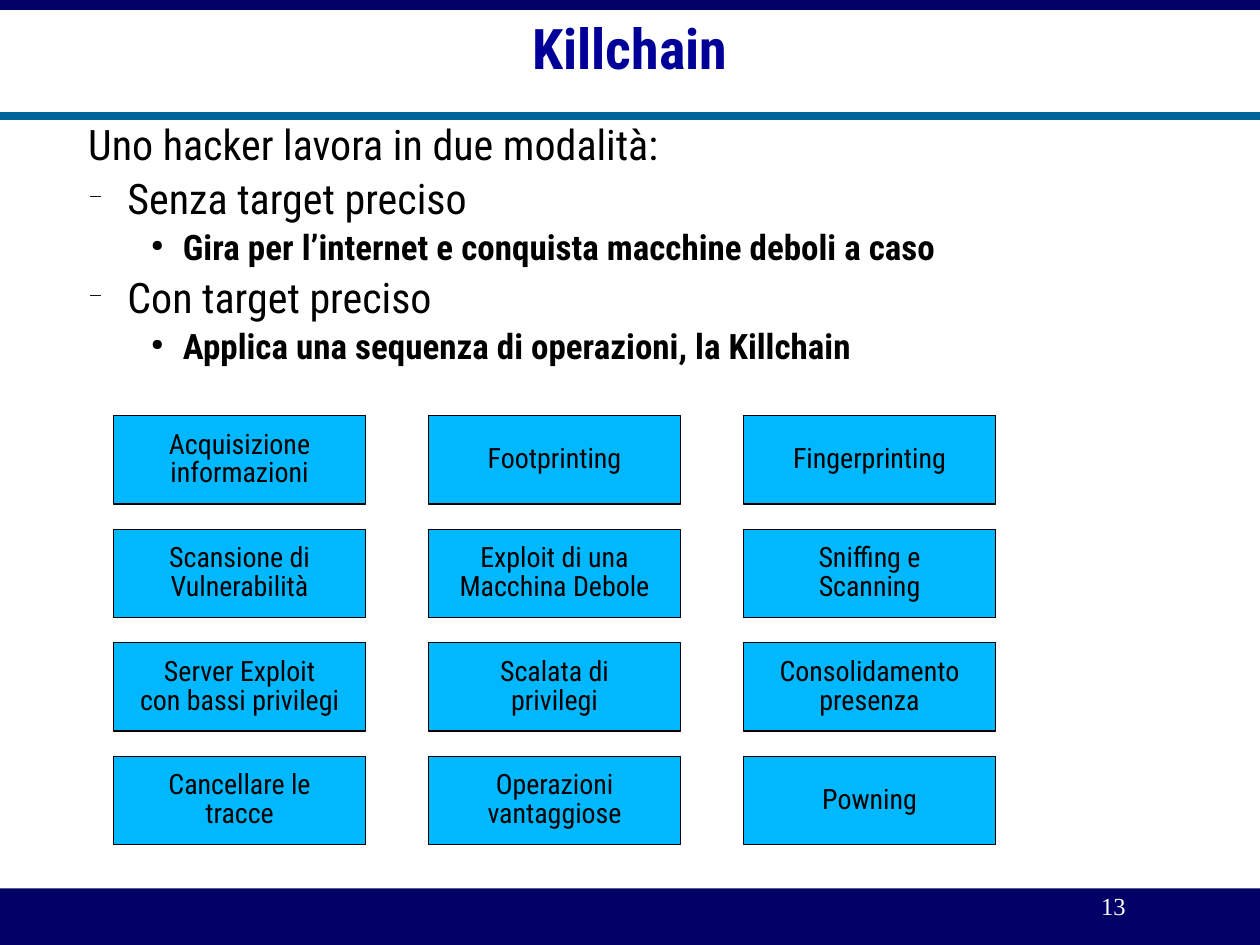
from lxml import etree
from pptx import Presentation
from pptx import util as u
from pptx.dml.color import RGBColor
from pptx.enum import shapes, text
from pptx.oxml import ns

NAVY = RGBColor(0x00, 0x00, 0x66)
TITLE_BLUE = RGBColor(0x00, 0x00, 0x99)
TEAL = RGBColor(0x00, 0x66, 0x99)
SKY = RGBColor(0x00, 0xB8, 0xFF)
BLACK = RGBColor(0x00, 0x00, 0x00)
WHITE = RGBColor(0xFF, 0xFF, 0xFF)

WIDTH, HEIGHT = 25.4, 19.05

# Paragraph formats of the body; indents in cm
INTRO = dict(level=4, left=1.27, before=4.5, size=24)
ITEM = dict(level=1, left=2.06, hanging=0.79, before=6, size=24, bullet="−")
DETAIL = dict(level=2, left=3.18, hanging=0.64, before=5, size=20, bold=True,
              bullet="●")

BODY = [
    ("Uno hacker lavora in due modalità:", INTRO),
    ("Senza target preciso", ITEM),
    ("Gira per l’internet e conquista macchine deboli a caso", DETAIL),
    ("Con target preciso", ITEM),
    ("Applica una sequenza di operazioni, la Killchain", DETAIL),
]

STEPS = [
    ["Acquisizione\ninformazioni", "Footprinting", "Fingerprinting"],
    ["Scansione di\nVulnerabilità", "Exploit di una\nMacchina Debole",
     "Sniffing e\nScanning"],
    ["Server Exploit\ncon bassi privilegi", "Scalata di\nprivilegi",
     "Consolidamento\npresenza"],
    ["Cancellare le\ntracce", "Operazioni\nvantaggiose", "Powning"],
]


def write(frame, content, *, size=16, font="Roboto Condensed", color=BLACK,
          bold=False, align=text.PP_ALIGN.LEFT, level=0, left=0, hanging=0,
          before=0, bullet=None):
    """Add each line of content to the frame as a formatted paragraph."""
    for line in content.split("\n"):
        paragraph = frame.paragraphs[-1]
        if paragraph.runs:
            paragraph = frame.add_paragraph()
        paragraph.alignment = align
        paragraph.level = level
        paragraph.line_spacing = 0.86
        paragraph.space_before = u.Pt(before)
        run = paragraph.add_run()
        run.text = line
        run.font.name = font
        run.font.size = u.Pt(size)
        run.font.bold = bold
        run.font.color.rgb = color
        properties = paragraph._p.get_or_add_pPr()
        properties.set("marL", str(u.Cm(left)))
        properties.set("indent", str(-u.Cm(hanging)))
        if bullet:
            scale = etree.SubElement(properties, ns.qn("a:buSzPct"))
            scale.set("val", "45000")
            mark = etree.SubElement(properties, ns.qn("a:buChar"))
            mark.set("char", bullet)


class SlideBuilder:
    def __init__(self, slide):
        self.slide = slide

    def rectangle(self, left, top, width, height, fill, outline=None):
        shape = self.slide.shapes.add_shape(
            shapes.MSO_SHAPE.RECTANGLE,
            u.Cm(left), u.Cm(top), u.Cm(width), u.Cm(height))
        shape.shadow.inherit = False
        shape.fill.solid()
        shape.fill.fore_color.rgb = fill
        if outline is None:
            shape.line.fill.background()
        else:
            shape.line.color.rgb = outline
            shape.line.width = u.Pt(0)
        return shape

    def rule(self, top, color, weight):
        line = self.slide.shapes.add_connector(
            shapes.MSO_CONNECTOR.STRAIGHT,
            0, u.Cm(top), u.Cm(WIDTH), u.Cm(top))
        line.line.color.rgb = color
        line.line.width = u.Pt(weight)
        etree.SubElement(line._element.spPr, ns.qn("a:effectLst"))

    def text_box(self, left, top, width, height, margins=(0, 0),
                 anchor=text.MSO_ANCHOR.TOP):
        box = self.slide.shapes.add_textbox(
            u.Cm(left), u.Cm(top), u.Cm(width), u.Cm(height))
        return self.prepare(box.text_frame, margins, anchor, True)

    def step(self, left, top, width, height, label):
        shape = self.rectangle(left, top, width, height, SKY, BLACK)
        frame = self.prepare(shape.text_frame, (0, 0),
                             text.MSO_ANCHOR.MIDDLE, False)
        write(frame, label, align=text.PP_ALIGN.CENTER)

    def prepare(self, frame, margins, anchor, wrap):
        frame.margin_left = frame.margin_right = u.Cm(margins[0])
        frame.margin_top = frame.margin_bottom = u.Cm(margins[1])
        frame.vertical_anchor = anchor
        frame.word_wrap = wrap
        return frame


def main():
    presentation = Presentation()
    presentation.slide_width = u.Cm(WIDTH)
    presentation.slide_height = u.Cm(HEIGHT)
    builder = SlideBuilder(
        presentation.slides.add_slide(presentation.slide_layouts[6]))

    # Frame: footer with page number, top band and rule
    builder.rectangle(0, 17.91, WIDTH, 1.14, NAVY)
    number = builder.text_box(19.81, 17.91, 5.28, 0.84, margins=(0.25, 0.13))
    # The number sits left of the box edge, over the footer
    number.margin_right = u.Cm(2.4)
    write(number, "13", size=14, font="Times New Roman", color=WHITE,
          align=text.PP_ALIGN.RIGHT)
    builder.rectangle(0, 0, WIDTH, 0.2, NAVY)
    builder.rule(2.33, TEAL, 4.5)

    # Title
    title = builder.text_box(0.51, 0, 24.38, 2.1,
                             anchor=text.MSO_ANCHOR.MIDDLE)
    write(title, "Killchain", size=32, color=TITLE_BLUE, bold=True,
          align=text.PP_ALIGN.CENTER)

    # Body
    body = builder.text_box(0.51, 2.54, 24.38, 14.73)
    for content, style in BODY:
        write(body, content, **style)

    # Grid of killchain steps
    for row, labels in enumerate(STEPS):
        for column, label in enumerate(labels):
            builder.step(2.29 + 6.35 * column, 8.38 + 2.29 * row,
                         5.08, 1.78, label)

    presentation.save("out.pptx")


if __name__ == "__main__":
    main()
